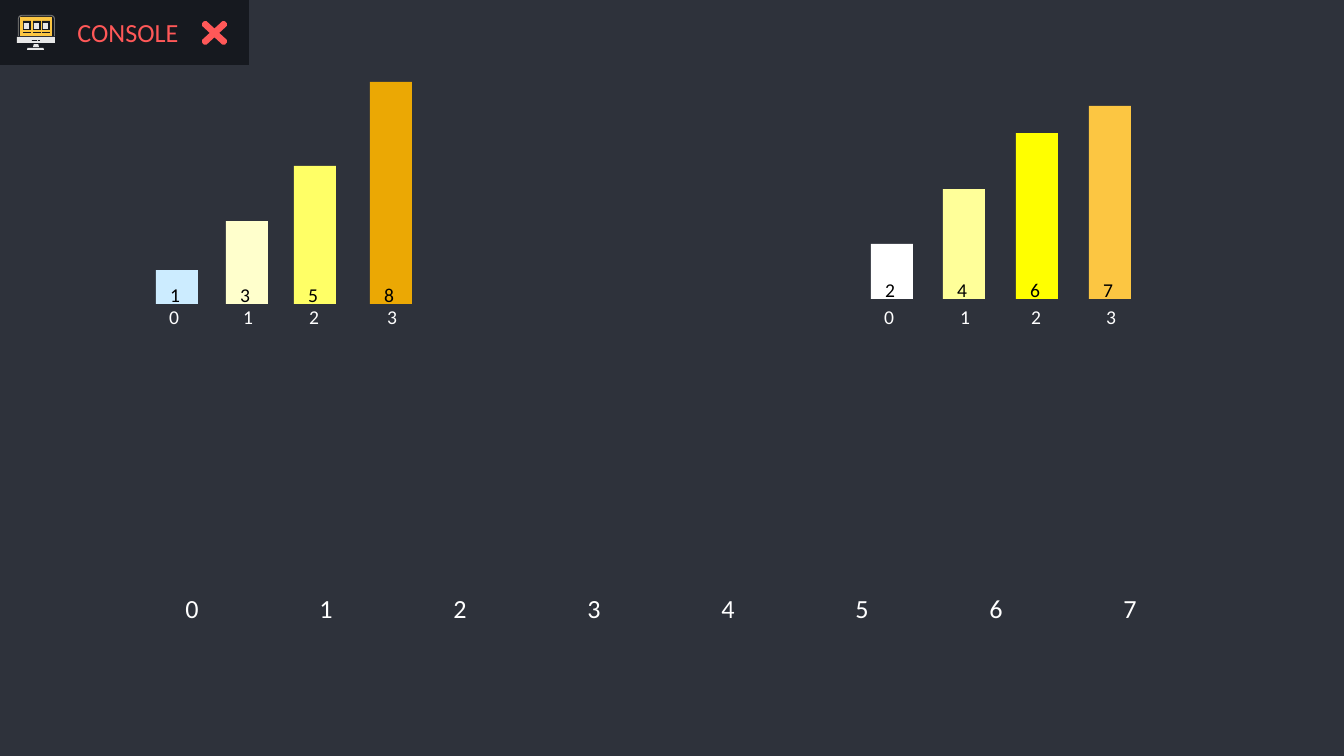
from dataclasses import dataclass

from pptx import Presentation
from pptx.dml.color import RGBColor
from pptx.enum.shapes import MSO_SHAPE
from pptx.enum.text import MSO_ANCHOR, MSO_AUTO_SIZE, PP_ALIGN
from pptx.util import Pt

RECT = MSO_SHAPE.RECTANGLE
ROUND_TOP = MSO_SHAPE.ROUND_2_SAME_RECTANGLE
TRAPEZOID = MSO_SHAPE.TRAPEZOID
MULTIPLY = MSO_SHAPE.MATH_MULTIPLY
CENTER = PP_ALIGN.CENTER
MIDDLE = MSO_ANCHOR.MIDDLE
TOP = MSO_ANCHOR.TOP
NO_FIT = MSO_AUTO_SIZE.NONE
TITLE_ONLY = 5

EMU_PER_PX = 914400 / 134.4


@dataclass(frozen=True)
class Theme:
    font: str = "Calibri"
    background: str = "2E323B"
    header: str = "16191F"
    accent: str = "FF5858"
    frame: str = "707070"
    screen: str = "FCC642"
    light: str = "E7E7E7"
    white: str = "FFFFFF"
    black: str = "000000"
    large: float = 14
    small: float = 10.5


THEME = Theme()

BAR_WIDTH = 42
INDEX_OFFSETS = (18, 22, 20, 22)
LEFT_BARS = (
    ("1", 156, 34, "CCECFF"),
    ("3", 226, 83, "FFFFCC"),
    ("5", 294, 138, "FFFF66"),
    ("8", 370, 222, "EBA804"),
)
RIGHT_BARS = (
    ("2", 871, 55, "FFFFFF"),
    ("4", 943, 110, "FFFF99"),
    ("6", 1016, 166, "FFFF00"),
    ("7", 1089, 193, "FCC642"),
)


def px(length):
    return round(length * EMU_PER_PX)


def rgb(value):
    return RGBColor.from_string(value)


def write(frame, text, size, color, anchor=TOP):
    frame.auto_size = NO_FIT
    frame.word_wrap = True
    frame.vertical_anchor = anchor
    frame.margin_left = frame.margin_right = 0
    frame.margin_top = frame.margin_bottom = px(7)
    paragraph = frame.paragraphs[0]
    paragraph.alignment = CENTER
    run = paragraph.add_run()
    run.text = text
    run.font.name = THEME.font
    run.font.size = Pt(size)
    run.font.color.rgb = rgb(color)


def add_block(shapes, kind, box, color):
    block = shapes.add_shape(kind, *map(px, box))
    block.shadow.inherit = False
    block.fill.solid()
    block.fill.fore_color.rgb = rgb(color)
    block.line.fill.background()
    return block


def add_label(slide, text, center, top, width, height, size, color):
    label = slide.shapes.add_textbox(
        px(center - width / 2), px(top), px(width), px(height)
    )
    write(label.text_frame, text, size, color)


def add_header(slide):
    header = slide.shapes.title
    header.left, header.top, header.width, header.height = map(px, (0, 0, 249, 65))
    header.fill.solid()
    header.fill.fore_color.rgb = rgb(THEME.header)
    write(header.text_frame, "CONSOLE", THEME.large, THEME.accent, MIDDLE)
    header.text_frame.margin_left = px(7)


def add_monitor(slide):
    parts = [
        (ROUND_TOP, (18, 15, 37, 21), THEME.frame),
        (ROUND_TOP, (19, 16, 35, 20), THEME.header),
        (RECT, (20, 17, 32, 19), THEME.screen),
    ]
    for left in (23, 33, 42):
        parts += [
            (RECT, (left, 21, 8, 9), THEME.header),
            (RECT, (left + 1, 23, 5, 6), THEME.light),
            (RECT, (left, 32, 8, 1), THEME.header),
        ]
    parts += [
        (RECT, (17, 37, 38, 6), THEME.light),
        (RECT, (32, 40, 5, 1), THEME.header),
        (RECT, (38, 40, 2, 1), THEME.header),
        (TRAPEZOID, (33, 44, 6, 3), THEME.light),
        (TRAPEZOID, (27, 48, 17, 2), THEME.light),
    ]
    monitor = slide.shapes.add_group_shape()
    for part in parts:
        add_block(monitor.shapes, *part)


def add_close_mark(slide):
    cross = add_block(slide.shapes, MULTIPLY, (195, 15, 39, 36), THEME.accent)
    cross.adjustments[0] = 0.076
    cross.line.color.rgb = rgb(THEME.accent)
    cross.line.width = Pt(2)


def add_sorted_half(slide, bars, baseline):
    for index, (value, left, height, color) in enumerate(bars):
        add_block(
            slide.shapes, RECT, (left, baseline - height, BAR_WIDTH, height), color
        )
        add_label(
            slide, value, left + 19, baseline - 28, 22, 38, THEME.small, THEME.black
        )
        add_label(
            slide, str(index), left + INDEX_OFFSETS[index], 298, 42, 38,
            THEME.small, THEME.white,
        )


def add_merged_indices(slide):
    for index in range(8):
        add_label(
            slide, str(index), 192 + 134 * index, 585, 42, 46,
            THEME.large, THEME.white,
        )


def main():
    deck = Presentation()
    deck.slide_width, deck.slide_height = px(1344), px(756)
    slide = deck.slides.add_slide(deck.slide_layouts[TITLE_ONLY])
    slide.background.fill.solid()
    slide.background.fill.fore_color.rgb = rgb(THEME.background)
    add_header(slide)
    add_monitor(slide)
    add_close_mark(slide)
    add_sorted_half(slide, LEFT_BARS, 304)
    add_sorted_half(slide, RIGHT_BARS, 299)
    add_merged_indices(slide)
    deck.save("out.pptx")


if __name__ == "__main__":
    main()
